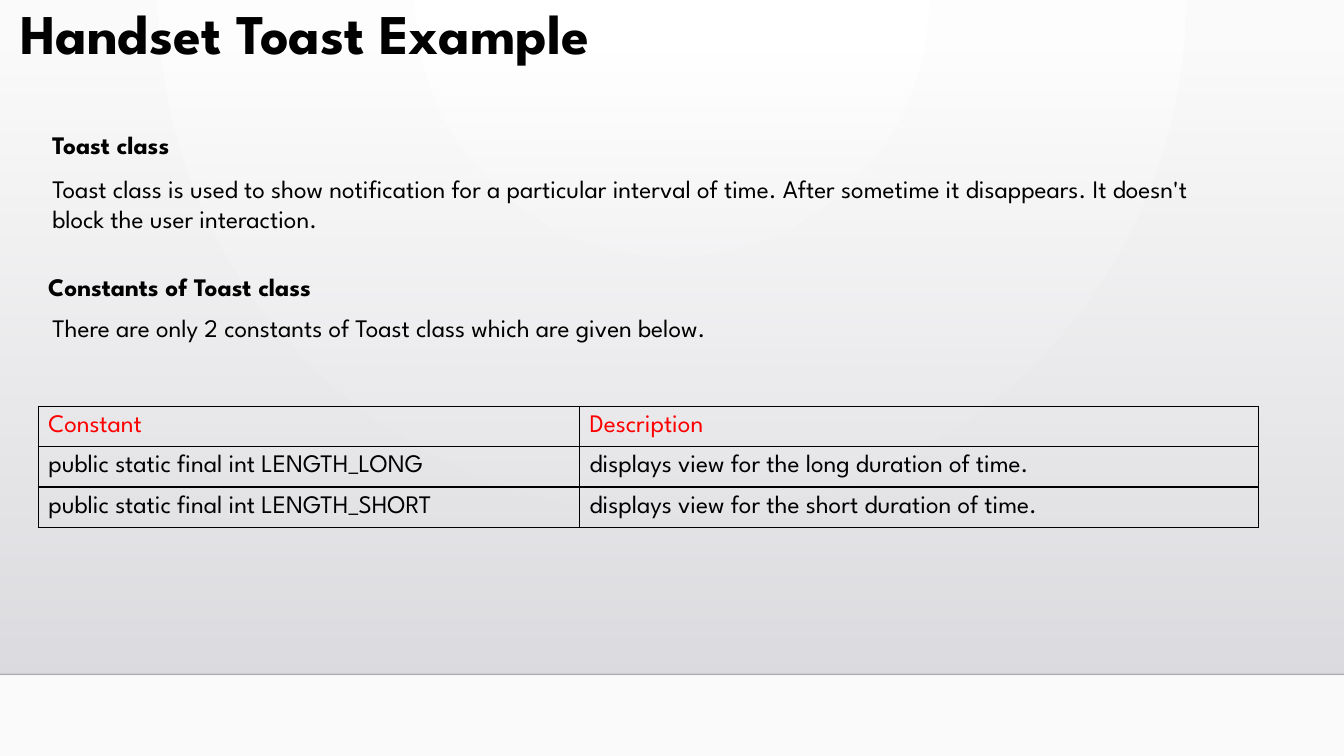
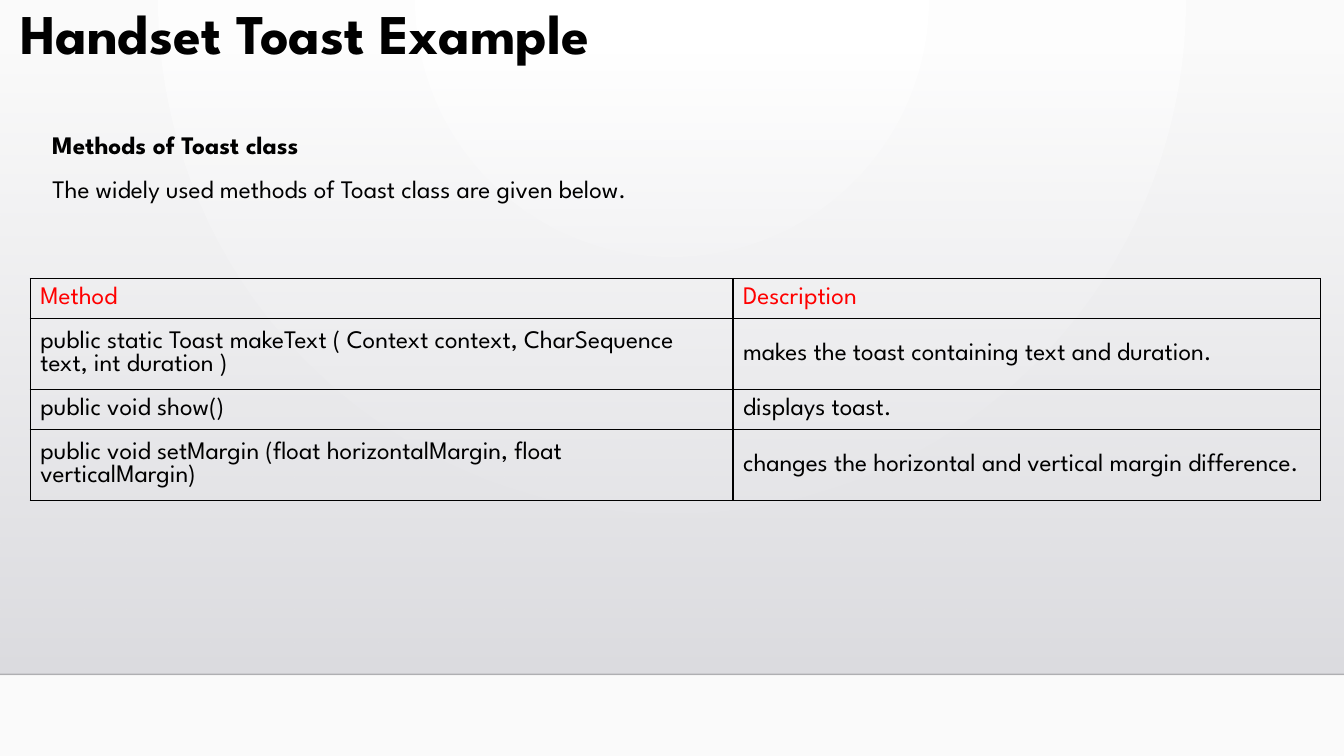
from pptx import Presentation
from pptx.dml.color import RGBColor
from pptx.enum.shapes import MSO_CONNECTOR, MSO_SHAPE
from pptx.enum.text import MSO_ANCHOR, MSO_AUTO_SIZE
from pptx.oxml import parse_xml
from pptx.oxml.ns import nsdecls, qn
from pptx.util import Pt

FONT = "League Spartan"
BLACK, RED = "000000", "FF0000"
WIDTH, HEIGHT = 960, 540
BAND_TOP, BAND_BOTTOM = 36.72, 481.68
HEADING_TOP, TEXT_LEFT = 88.56, 30.24
ONE_LINE, TWO_LINES = 28.8, 50.4


def color(value):
    return RGBColor.from_string(value)


def write(frame, text, size=18, tint=BLACK, bold=False):
    para = frame.paragraphs[0]
    span = para.add_run()
    span.text = text
    for name, value in {"name": FONT, "size": Pt(size), "bold": bold}.items():
        setattr(span.font, name, value)
    span.font.color.rgb = color(tint)
    return para


slides = [
    {
        "texts": [
            (TEXT_LEFT, HEADING_TOP, 108, ONE_LINE, True, "Toast class"),
            (TEXT_LEFT, 120.24, 840, TWO_LINES, False,
             "Toast class is used to show notification for a particular interval of time. "
             "After sometime it disappears. It doesn't block the user interaction."),
            (27.36, 190.08, 221, ONE_LINE, True, "Constants of Toast class"),
            (TEXT_LEFT, 219.6, 793, ONE_LINE, False,
             "There are only 2 constants of Toast class which are given below."),
        ],
        "place": (27.36, 290.16),
        "columns": [386.6, 485],
        "heights": [ONE_LINE] * 3,
        "rows": [
            ("Constant", "Description"),
            ("public static final int LENGTH_LONG", "displays view for the long duration of time."),
            ("public static final int LENGTH_SHORT", "displays view for the short duration of time."),
        ],
    },
    {
        "texts": [
            (TEXT_LEFT, HEADING_TOP, 211, ONE_LINE, True, "Methods of Toast class"),
            (TEXT_LEFT, 120.24, 840, ONE_LINE, False,
             "The widely used methods of Toast class are given below."),
        ],
        "place": (21.6, 198.9),
        "columns": [502, 419.5],
        "heights": [ONE_LINE, TWO_LINES, ONE_LINE, TWO_LINES],
        "rows": [
            ("Method", "Description"),
            ("public static Toast makeText ( Context context, CharSequence text, int duration )",
             "makes the toast containing text and duration."),
            ("public void show()", "displays toast."),
            ("public void setMargin (float horizontalMargin, float verticalMargin)",
             "changes the horizontal and vertical margin difference."),
        ],
    },
]

deck = Presentation()
deck.slide_width, deck.slide_height = Pt(WIDTH), Pt(HEIGHT)

backdrop = deck.slide_master.background.fill
backdrop.gradient()
for stop, value in zip(backdrop.gradient_stops, ("FFFFFF", "FAFAFA")):
    stop.color.rgb = color(value)
direction = deck.slide_master.element.find(".//" + qn("p:bg")).find(".//" + qn("a:lin"))
direction.getparent().replace(direction, parse_xml(
    f'<a:path {nsdecls("a")} path="circle">'
    '<a:fillToRect l="43000" r="43000" b="100000"/></a:path>'))

for content in slides:
    page = deck.slides.add_slide(deck.slide_layouts[5])

    band = page.shapes.add_shape(
        MSO_SHAPE.RECTANGLE, 0, Pt(BAND_TOP), Pt(WIDTH), Pt(BAND_BOTTOM - BAND_TOP))
    band.shadow.inherit = False
    band.line.fill.background()
    band.fill.gradient()
    band.fill.gradient_angle = 270
    for stop, value in zip(band.fill.gradient_stops, ("DCDCE0", "DEDEE2")):
        stop.color.rgb = color(value)
    band.element.find(".//" + qn("a:srgbClr")).append(
        parse_xml(f'<a:alpha {nsdecls("a")} val="0"/>'))

    rule = page.shapes.add_connector(
        MSO_CONNECTOR.STRAIGHT, 0, Pt(BAND_BOTTOM), Pt(WIDTH), Pt(BAND_BOTTOM))
    rule.line.width = Pt(1)
    rule.line.color.rgb = color("000001")
    rule.element.find(".//" + qn("a:srgbClr")).append(
        parse_xml(f'<a:alpha {nsdecls("a")} val="20000"/>'))
    rule.element.spPr.append(parse_xml(f'<a:effectLst {nsdecls("a")}/>'))

    title = page.shapes.title
    title.element.getparent().append(title.element)
    for name, value in {"left": 7.2, "top": 5.76, "width": 921.6, "height": 41.76}.items():
        setattr(title, name, Pt(value))
    frame = title.text_frame
    for name, value in {"margin_bottom": 0, "vertical_anchor": MSO_ANCHOR.BOTTOM,
                        "auto_size": MSO_AUTO_SIZE.NONE, "word_wrap": True}.items():
        setattr(frame, name, value)
    para = write(frame, "Handset Toast Example", 40, bold=True)
    para.line_spacing = 0.9
    para.alignment = 1

    for left, top, width, height, bold, text in content["texts"]:
        box = page.shapes.add_textbox(Pt(left), Pt(top), Pt(width), Pt(height))
        box.text_frame.word_wrap = not bold
        box.text_frame.auto_size = MSO_AUTO_SIZE.SHAPE_TO_FIT_TEXT
        write(box.text_frame, text, bold=bold)

    rows, columns, heights = content["rows"], content["columns"], content["heights"]
    left, top = content["place"]
    table = page.shapes.add_table(
        len(rows), len(columns), Pt(left), Pt(top), Pt(sum(columns)), Pt(sum(heights))).table
    table.first_row = table.horz_banding = False
    for column, width in zip(table.columns, columns):
        column.width = Pt(width)
    for number, (row, height, texts) in enumerate(zip(table.rows, heights, rows)):
        row.height = Pt(height)
        for cell, text in zip(row.cells, texts):
            cell.vertical_anchor = MSO_ANCHOR.MIDDLE
            write(cell.text_frame, text, tint=BLACK if number else RED)
            for side in ("lnL", "lnR", "lnT", "lnB"):
                cell._tc.tcPr.append(parse_xml(
                    f'<a:{side} {nsdecls("a")} w="{Pt(1)}"><a:solidFill>'
                    f'<a:srgbClr val="{BLACK}"/></a:solidFill></a:{side}>'))
            cell.fill.background()

deck.save("out.pptx")
